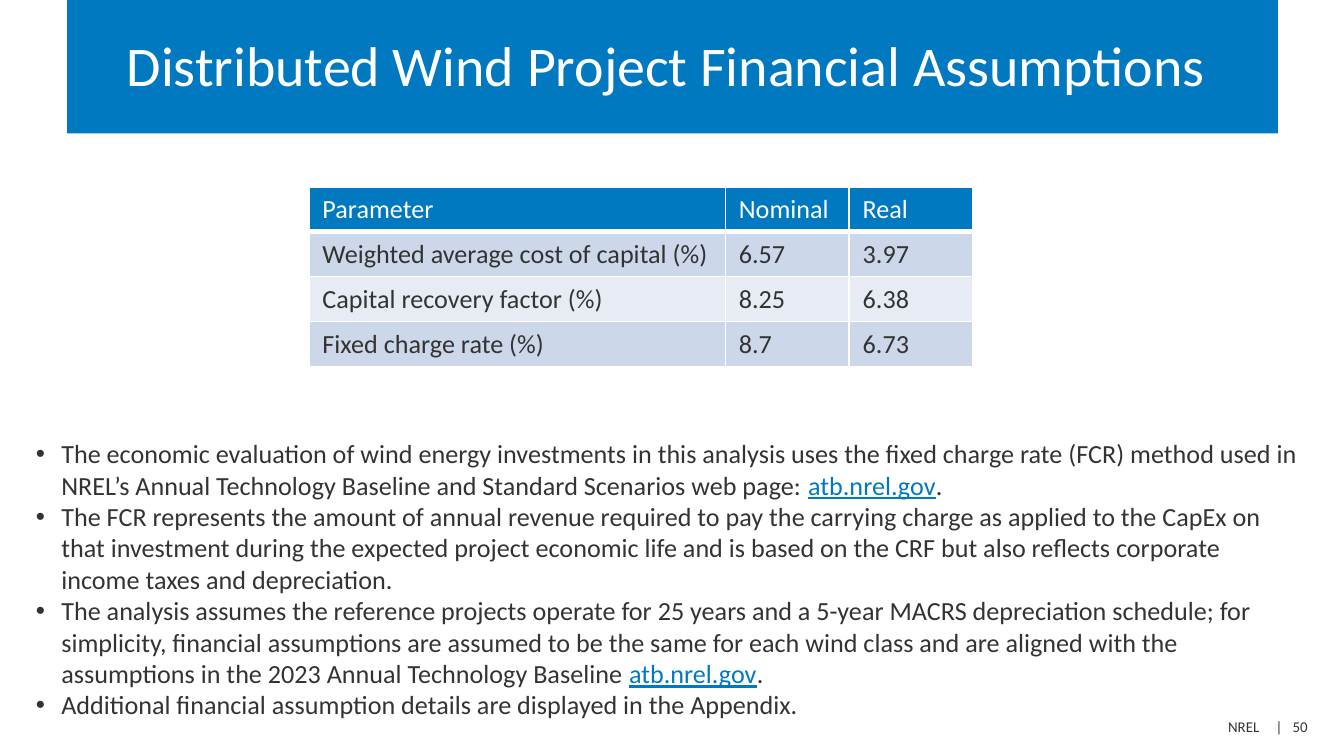
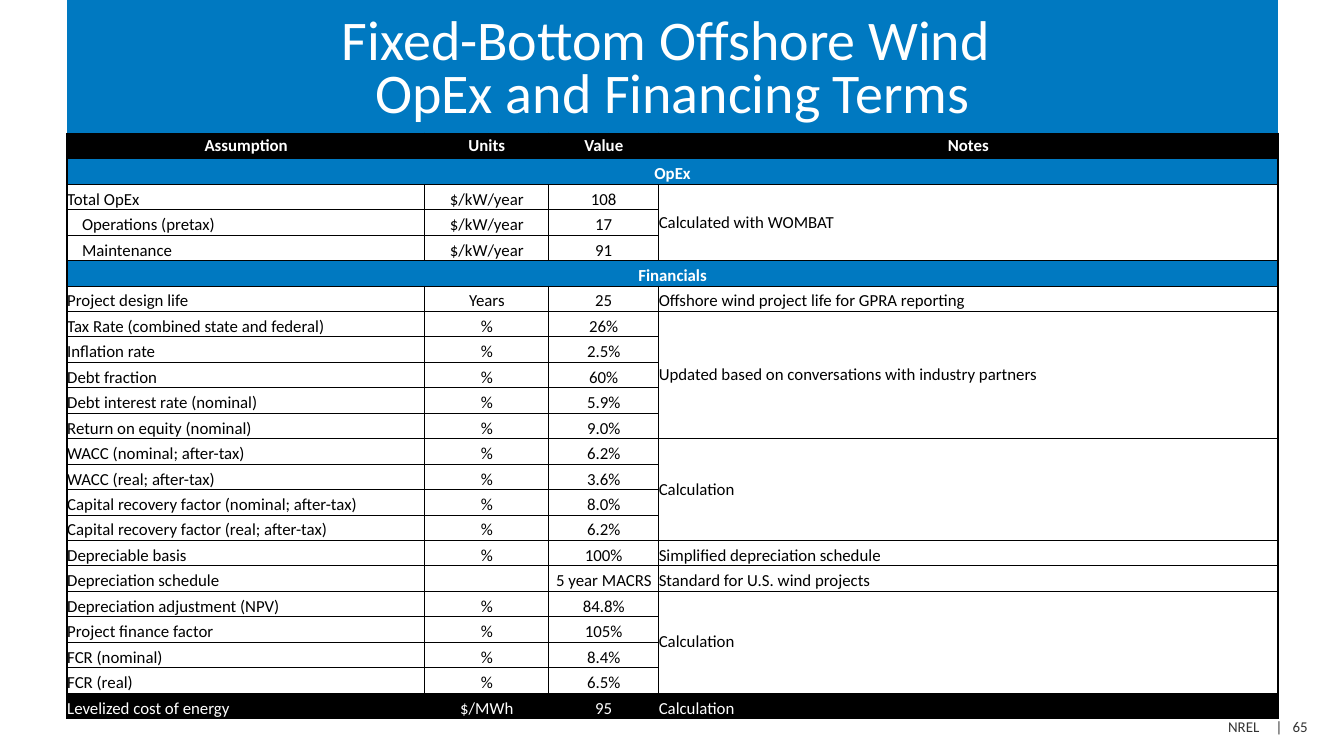
from lxml.etree import SubElement
from pptx import Presentation
from pptx.dml.color import RGBColor
from pptx.enum.text import MSO_ANCHOR as Anchor, MSO_AUTO_SIZE as AutoSize, PP_ALIGN as Align
from pptx.oxml.ns import qn
from pptx.util import Cm, Pt

BLUE, WHITE, BLACK, GRAY = "0079C1", "FFFFFF", "000000", "333333"
BANDS = ("CCD7E9", "E7ECF4")
FONT = "Calibri"
TITLE_ONLY = 5
BAND_LEFT, BAND_WIDTH, BAND_HEIGHT = 1.27, 22.88, 2.52

PROJECT_ROWS = [
    ("Parameter", "Nominal", "Real"),
    ("Weighted average cost of capital (%)", "6.57", "3.97"),
    ("Capital recovery factor (%)", "8.25", "6.38"),
    ("Fixed charge rate (%)", "8.7", "6.73"),
]

LINK = "atb.nrel.gov"
PROJECT_POINTS = [
    "The economic evaluation of wind energy investments in this analysis uses the fixed charge "
    "rate (FCR) method used in NREL’s Annual Technology Baseline and Standard Scenarios web "
    "page: atb.nrel.gov.",
    "The FCR represents the amount of annual revenue required to pay the carrying charge as "
    "applied to the CapEx on that investment during the expected project economic life and is "
    "based on the CRF but also reflects corporate income taxes and depreciation.",
    "The analysis assumes the reference projects operate for 25 years and a 5-year MACRS "
    "depreciation schedule; for simplicity, financial assumptions are assumed to be the same "
    "for each wind class and are aligned with the assumptions in the 2023 Annual Technology "
    "Baseline atb.nrel.gov.",
    "Additional financial assumption details are displayed in the Appendix.",
]

# A single entry is a section heading; a row without a note shares the note above it.
OFFSHORE_ROWS = [
    ("Assumption", "Units", "Value", "Notes"),
    ("OpEx",),
    ("Total OpEx", "$/kW/year", "108", "Calculated with WOMBAT"),
    ("Operations (pretax)", "$/kW/year", "17"),
    ("Maintenance", "$/kW/year", "91"),
    ("Financials",),
    ("Project design life", "Years", "25", "Offshore wind project life for GPRA reporting"),
    ("Tax Rate (combined state and federal)", "%", "26%",
     "Updated based on conversations with industry partners"),
    ("Inflation rate", "%", "2.5%"),
    ("Debt fraction", "%", "60%"),
    ("Debt interest rate (nominal)", "%", "5.9%"),
    ("Return on equity (nominal)", "%", "9.0%"),
    ("WACC (nominal; after-tax)", "%", "6.2%", "Calculation"),
    ("WACC (real; after-tax)", "%", "3.6%"),
    ("Capital recovery factor (nominal; after-tax)", "%", "8.0%"),
    ("Capital recovery factor (real; after-tax)", "%", "6.2%"),
    ("Depreciable basis", "%", "100%", "Simplified depreciation schedule"),
    ("Depreciation schedule", "", "5 year MACRS", "Standard for U.S. wind projects"),
    ("Depreciation adjustment (NPV)", "%", "84.8%", "Calculation"),
    ("Project finance factor", "%", "105%"),
    ("FCR (nominal)", "%", "8.4%"),
    ("FCR (real)", "%", "6.5%"),
    ("Levelized cost of energy", "$/MWh", "95", "Calculation"),
]
OPEX_PARTS = ("Operations (pretax)", "Maintenance")


def rgb(color):
    return RGBColor.from_string(color)


def add_span(para, text, size=14, color=GRAY, bold=False, underline=False):
    if not text:
        SubElement(para._p, qn("a:endParaRPr"), sz=str(size * 100))
        return
    span = para.add_run()
    span.text = text
    font = span.font
    font.name, font.size, font.bold, font.underline = FONT, Pt(size), bold, underline
    font.color.rgb = rgb(color)


def set_borders(cell, color, **widths):
    """Draw the L, R, T and B edges; call this before the cell gets its fill."""
    properties = cell._tc.get_or_add_tcPr()
    for side in "LRTB":
        line = SubElement(properties, qn(f"a:ln{side}"), w=str(Pt(widths[side])))
        SubElement(SubElement(line, qn("a:solidFill")), qn("a:srgbClr"), val=color)


def set_fill(cell, color):
    if color:
        cell.fill.solid()
        cell.fill.fore_color.rgb = rgb(color)
    else:
        cell.fill.background()


def add_bullet(para, indent):
    properties = para._p.get_or_add_pPr()
    properties.set("marL", str(Cm(indent)))
    properties.set("indent", str(-Cm(indent)))
    SubElement(properties, qn("a:buFont"), typeface="Arial")
    SubElement(properties, qn("a:buChar"), char="•")


def add_tabs(para, *stops):
    tabs = SubElement(para._p.get_or_add_pPr(), qn("a:tabLst"))
    for stop in stops:
        SubElement(tabs, qn("a:tab"), pos=str(Cm(stop)), algn="l")


class WindDeck:
    """Holds the shared style and the current page."""

    def __init__(self):
        self.deck = Presentation()
        self.deck.slide_width, self.deck.slide_height = Cm(25.4), Cm(14.29)
        self.page = None

    def add_page(self, title_lines, number):
        self.page = self.deck.slides.add_slide(self.deck.slide_layouts[TITLE_ONLY])
        self.footer(number)
        self.title(title_lines)

    def title(self, lines):
        band = self.page.shapes.title
        band.left, band.top = Cm(BAND_LEFT), Cm(0)
        band.width, band.height = Cm(BAND_WIDTH), Cm(BAND_HEIGHT)
        band.fill.solid()
        band.fill.fore_color.rgb = rgb(BLUE)
        frame = band.text_frame
        frame.word_wrap, frame.auto_size = True, AutoSize.NONE
        frame.vertical_anchor = Anchor.MIDDLE
        frame.margin_left = frame.margin_right = Cm(0.25)
        frame.margin_top, frame.margin_bottom = Cm(0.33), Cm(0.13)
        para = frame.paragraphs[0]
        para.alignment, para.line_spacing = Align.CENTER, Pt(28)
        for index, line in enumerate(lines):
            if index:
                para.add_line_break()
            add_span(para, line, size=30, color=WHITE)

    def text_box(self, left, top, width, height):
        box = self.page.shapes.add_textbox(Cm(left), Cm(top), Cm(width), Cm(height))
        box.text_frame.word_wrap = True
        box.text_frame.auto_size = AutoSize.SHAPE_TO_FIT_TEXT
        return box.text_frame

    def footer(self, number):
        frame = self.text_box(18.64, 13.44, 6.32, 0.6)
        frame.margin_left = Cm(4.57)
        frame.margin_right = Cm(0)
        para = frame.paragraphs[0]
        add_tabs(para, 0.9, 1.22)
        add_span(para, f"NREL\t|\t{number}", size=8)

    def bullets(self, points, *place):
        frame = self.text_box(*place)
        for index, point in enumerate(points):
            para = frame.add_paragraph() if index else frame.paragraphs[0]
            add_bullet(para, 0.48)
            before, link, after = point.partition(LINK)
            add_span(para, before)
            if link:
                add_span(para, link, color=BLUE, underline=True)
                add_span(para, after)
        para.space_after = Pt(6)

    def table(self, left, top, widths, row_height, row_count):
        grid = self.page.shapes.add_table(
            row_count, len(widths), Cm(left), Cm(top),
            Cm(sum(widths)), Cm(row_height * row_count)).table
        grid.first_row = grid.horz_banding = False
        for column, width in zip(grid.columns, widths):
            column.width = Cm(width)
        for row in grid.rows:
            row.height = Cm(row_height)
        return grid

    def project_table(self, rows):
        grid = self.table(5.84, 3.53, (7.87, 2.34, 2.34), 0.85, len(rows))
        for r, row in enumerate(rows):
            for c, text in enumerate(row):
                cell = grid.cell(r, c)
                set_borders(cell, WHITE, L=1, R=1, T=3 if r == 1 else 1, B=1 if r else 3)
                set_fill(cell, BANDS[(r - 1) % 2] if r else BLUE)
                cell.vertical_anchor = Anchor.BOTTOM
                add_span(cell.text_frame.paragraphs[0], text, color=GRAY if r else WHITE)

    def offshore_table(self, rows):
        widths = (6.76, 2.34, 2.08, 11.7)
        grid = self.table(BAND_LEFT, BAND_HEIGHT, widths, 11.07 / len(rows), len(rows))
        last_row, last_column = len(rows) - 1, len(widths) - 1
        for r, row in enumerate(rows):
            if len(row) == 1:
                grid.cell(r, 0).merge(grid.cell(r, last_column))
            elif len(row) == 4:
                end = r
                while end < last_row and len(rows[end + 1]) == 3:
                    end += 1
                if end > r:
                    grid.cell(r, last_column).merge(grid.cell(end, last_column))
        for r, row in enumerate(rows):
            is_head, is_section, is_total = r == 0, len(row) == 1, r == last_row
            fill = BLUE if is_section else BLACK if is_head or is_total else None
            for c in range(len(widths)):
                cell = grid.cell(r, c)
                reaches_right = c == last_column or is_section
                set_borders(cell, BLACK, L=0.5 if c else 1, R=1 if reaches_right else 0.5,
                            T=1 if is_head else 0.5, B=1 if is_total else 0.5)
                set_fill(cell, fill)
                cell.margin_left = cell.margin_right = cell.margin_top = cell.margin_bottom = 0
                shared = cell.is_merge_origin and not is_section
                cell.vertical_anchor = Anchor.MIDDLE if is_head or shared else Anchor.BOTTOM
                para = cell.text_frame.paragraphs[0]
                if is_head or is_section or c in (1, 2):
                    para.alignment = Align.CENTER
                text = row[c] if c < len(row) else ""
                if text in OPEX_PARTS:
                    cell.margin_left = Cm(0.28)
                add_span(para, text, size=9, color=WHITE if fill else BLACK,
                         bold=is_head or is_section)


def main():
    wind = WindDeck()
    wind.add_page(["Distributed Wind Project Financial Assumptions "], 50)
    wind.project_table(PROJECT_ROWS)
    wind.bullets(PROJECT_POINTS, 0.43, 8.15, 24.51, 5.64)

    wind.add_page(["Fixed-Bottom Offshore Wind ", "OpEx and Financing Terms"], 65)
    wind.offshore_table(OFFSHORE_ROWS)
    wind.deck.save("out.pptx")


if __name__ == "__main__":
    main()
